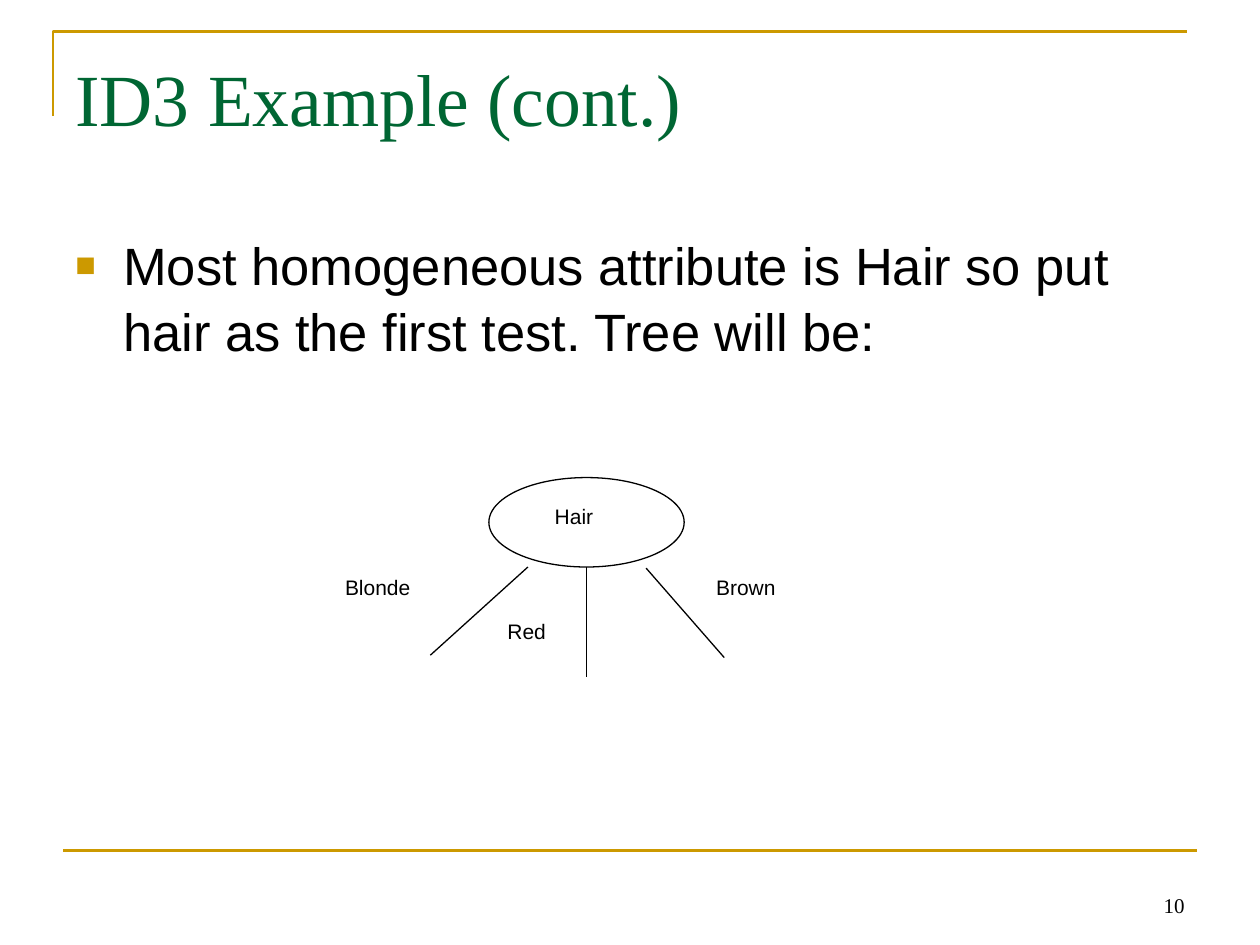
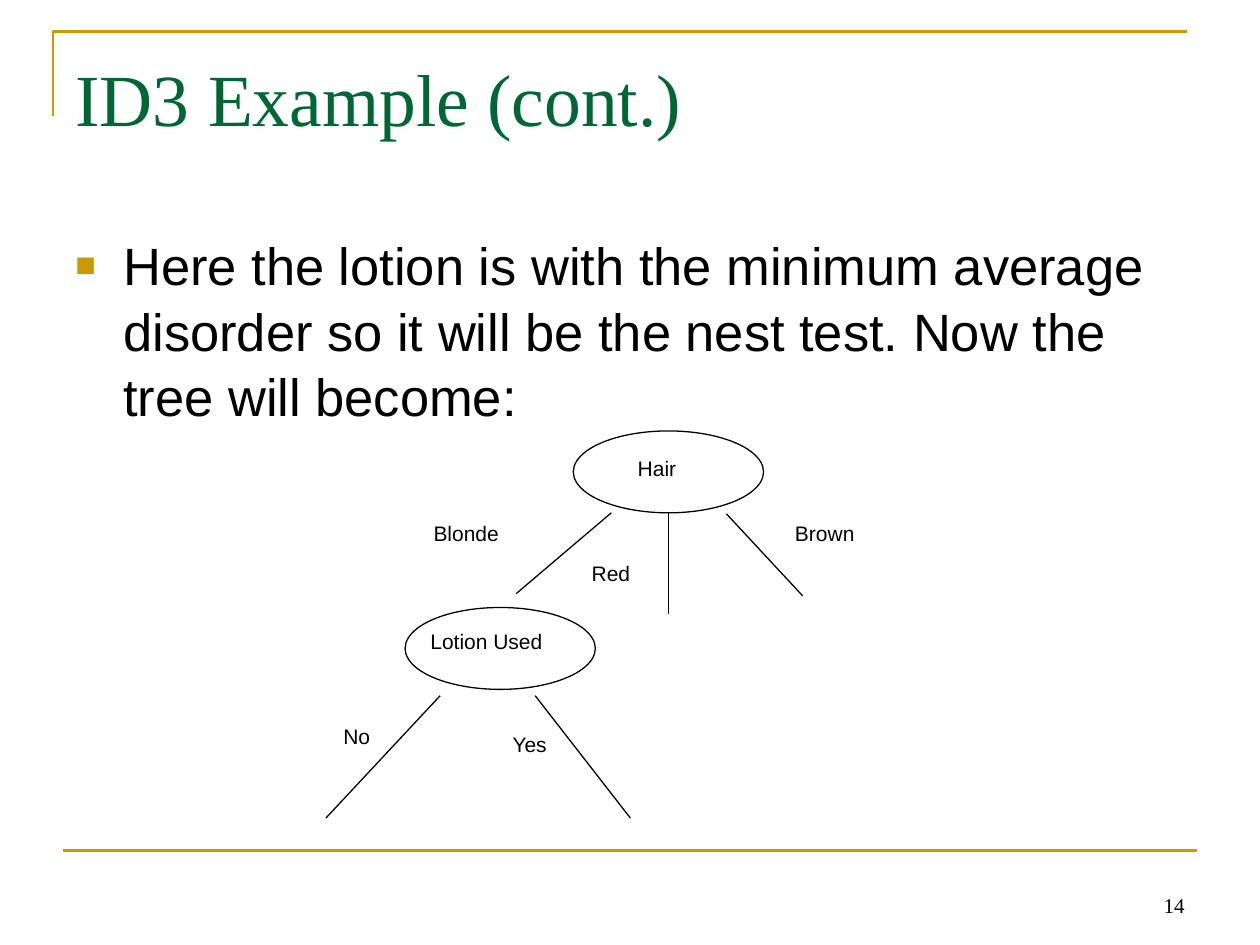
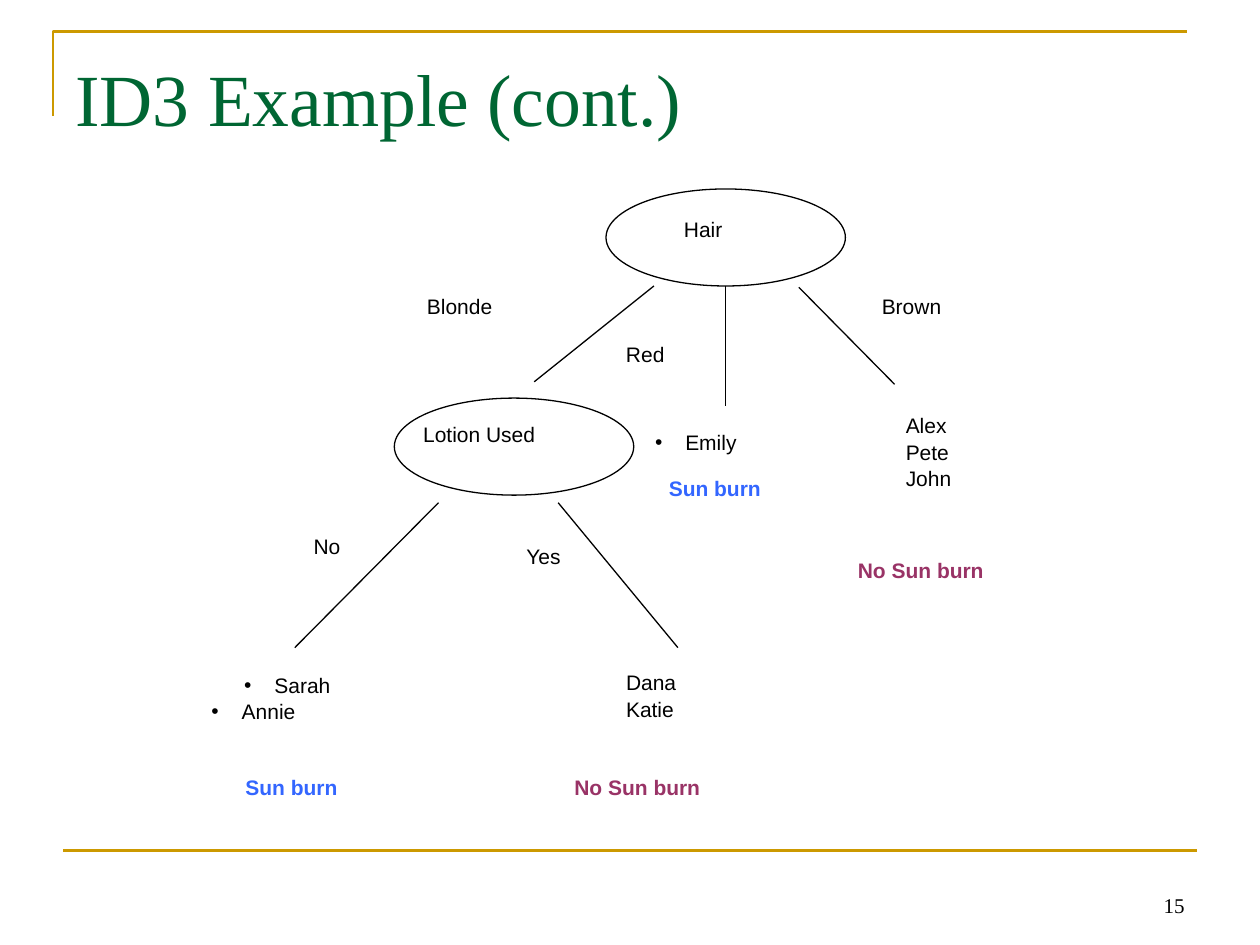
from dataclasses import dataclass

from pptx import Presentation
from pptx.dml.color import RGBColor
from pptx.enum.shapes import MSO_CONNECTOR as CXN, MSO_SHAPE as SHAPE
from pptx.enum.text import MSO_ANCHOR as ANCHOR, PP_ALIGN as ALIGN
from pptx.oxml.ns import qn
from pptx.util import Inches, Pt

GOLD = RGBColor(0xCC, 0x99, 0x00)
GREEN = RGBColor(0x00, 0x66, 0x33)
BLACK = RGBColor(0x00, 0x00, 0x00)
WHITE = RGBColor(0xFF, 0xFF, 0xFF)
BLUE = RGBColor(0x33, 0x66, 0xFF)
PLUM = RGBColor(0x99, 0x33, 0x66)
SANS = "Arial"
SERIF = "Times New Roman"
LINE_SPACING = 1.04

NODE_W, NODE_H = 1.9, 0.77

HAIR_LABELS = [
    ("Hair", 0.52, 0.16, 0.95, 0.38),
    ("Blonde", -1.52, 0.77, 1.14, 0.38),
    ("Brown", 2.09, 0.77, 1.14, 0.38),
    ("Red", 0.06, 1.15, 0.76, 0.38),
]
HAIR_BRANCHES = [
    (0.95, 0.77, 0.95, 1.72),
    (0.38, 0.77, -0.57, 1.53),
    (1.53, 0.78, 2.29, 1.55),
]
LOTION_NODE = (-1.68, 1.66)
LOTION_LABELS = [
    ("Lotion Used", -1.55, 1.79, 1.71, 0.57),
    ("Yes", -0.73, 2.76, 0.76, 0.38),
    ("No", -2.42, 2.68, 0.7, 0.38),
]
LOTION_BRANCHES = [
    (-1.33, 2.49, -2.47, 3.64),
    (-0.38, 2.49, 0.57, 3.64),
]


@dataclass
class Frame:
    left: float
    top: float
    node_w: float = NODE_W
    node_h: float = NODE_H

    def size(self, w, h):
        return w * self.node_w / NODE_W, h * self.node_h / NODE_H

    def point(self, x, y):
        dx, dy = self.size(x, y)
        return self.left + dx, self.top + dy


def add_line(slide, x1, y1, x2, y2, color=BLACK, width=0.75):
    line = slide.shapes.add_connector(
        CXN.STRAIGHT, Inches(x1), Inches(y1), Inches(x2), Inches(y2))
    line.line.color.rgb = color
    line.line.width = Pt(width)
    sp_pr = line._element.spPr
    sp_pr.append(sp_pr.makeelement(qn("a:effectLst"), {}))


def add_box(slide, x, y, w, h, anchor=ANCHOR.TOP, top_inset=0.05):
    box = slide.shapes.add_textbox(Inches(x), Inches(y), Inches(w), Inches(h))
    tf = box.text_frame
    tf.word_wrap = True
    tf.vertical_anchor = anchor
    tf.margin_top = Inches(top_inset)
    return tf


def add_run(p, text, size=12, font=SANS, color=BLACK, bold=False):
    r = p.add_run()
    r.text = text
    r.font.size = Pt(size)
    r.font.name = font
    r.font.bold = bold
    r.font.color.rgb = color


def set_bullet(p, char, margin, hanging, color=None, percent=None):
    p_pr = p._p.get_or_add_pPr()
    p_pr.set("marL", str(Inches(margin)))
    p_pr.set("indent", str(-Inches(hanging)))

    def add(parent, tag, **attrs):
        child = parent.makeelement(qn(tag), attrs)
        parent.append(child)
        return child

    if color is not None:
        add(add(p_pr, "a:buClr"), "a:srgbClr", val=str(color))
    if percent is not None:
        add(p_pr, "a:buSzPct", val=str(percent * 1000))
    add(p_pr, "a:buFont", typeface=SANS)
    add(p_pr, "a:buChar", char=char)


def add_label(slide, lines, x, y, w, h, color=BLACK, bold=False, margins=()):
    tf = add_box(slide, x, y, w, h)
    for i, text in enumerate(lines):
        p = tf.add_paragraph() if i else tf.paragraphs[0]
        if margins:
            set_bullet(p, "•", margins[i], 0.24)
        p.line_spacing = LINE_SPACING
        add_run(p, text, color=color, bold=bold)


def add_base(prs, number):
    slide = prs.slides.add_slide(prs.slide_layouts[6])
    fb = slide.shapes.build_freeform(Inches(0.42), Inches(0.92))
    fb.add_line_segments(
        [(Inches(0.42), Inches(0.25)), (Inches(9.42), Inches(0.25))], close=False)
    corner = fb.convert_to_shape()
    corner.shadow.inherit = False
    corner.fill.background()
    corner.line.color.rgb = GOLD
    corner.line.width = Pt(1.5)
    add_line(slide, 0.5, 6.75, 9.5, 6.75, GOLD, 1.5)

    p = add_box(slide, 7.17, 6.83, 2.33, 0.5, ANCHOR.BOTTOM).paragraphs[0]
    p.alignment = ALIGN.RIGHT
    add_run(p, str(number), font=SERIF)

    p = add_box(slide, 0.5, 0.3, 9, 1.25, top_inset=0.12).paragraphs[0]
    add_run(p, "ID3 Example (cont.)", 42, SERIF, GREEN)
    return slide


def add_body(slide, text):
    p = add_box(slide, 0.5, 1.75, 9, 4.95, top_inset=0.08).paragraphs[0]
    set_bullet(p, "■", 0.38, 0.38, GOLD, 65)
    p.line_spacing = LINE_SPACING
    add_run(p, text, 30)


def add_subtree(slide, frame, node, labels, branches):
    x, y = frame.point(*node)
    sp = slide.shapes.add_shape(
        SHAPE.OVAL, Inches(x), Inches(y), Inches(frame.node_w), Inches(frame.node_h))
    sp.shadow.inherit = False
    sp.fill.solid()
    sp.fill.fore_color.rgb = WHITE
    sp.line.color.rgb = BLACK
    sp.line.width = Pt(0.75)
    for text, x, y, w, h in labels:
        add_label(slide, [text], *frame.point(x, y), *frame.size(w, h))
    for x1, y1, x2, y2 in branches:
        add_line(slide, *frame.point(x1, y1), *frame.point(x2, y2))


def add_hair(slide, frame):
    add_subtree(slide, frame, (0, 0), HAIR_LABELS, HAIR_BRANCHES)


def add_lotion(slide, frame):
    add_subtree(slide, frame, LOTION_NODE, LOTION_LABELS, LOTION_BRANCHES)


def add_leaves(slide):
    add_label(slide, ["Emily"], 4.84, 3.35, 1.71, 0.51, margins=[0.5])
    add_label(slide, ["Sarah", "Annie"], 1.58, 5.28, 1.71, 0.77, margins=[0.5, 0.24])
    add_label(slide, ["Dana", "Katie"], 4.87, 5.26, 0.95, 0.77)
    add_label(slide, ["Alex", "Pete", "John"], 7.09, 3.22, 0.95, 1.15)
    for text, x, y, w, color in [
        ("Sun burn", 1.85, 6.09, 1.33, BLUE),
        ("Sun burn", 5.21, 3.72, 1.33, BLUE),
        ("No Sun burn", 4.46, 6.09, 1.71, PLUM),
        ("No Sun burn", 6.71, 4.37, 1.71, PLUM),
    ]:
        add_label(slide, [text], x, y, w, 0.57, color, True)


def main():
    prs = Presentation()
    prs.slide_width = Inches(10)
    prs.slide_height = Inches(7.5)

    slide = add_base(prs, 10)
    add_body(slide, "Most homogeneous attribute is Hair so put hair as the first "
                    "test. Tree will be:")
    add_hair(slide, Frame(3.88, 3.79, 1.55, 0.71))

    slide = add_base(prs, 14)
    add_body(slide, "Here the lotion is with the minimum average disorder so it "
                    "will be the nest test. Now the tree will become:")
    frame = Frame(4.55, 3.42, 1.51, 0.65)
    add_hair(slide, frame)
    add_lotion(slide, frame)

    slide = add_base(prs, 15)
    frame = Frame(4.81, 1.5)
    add_hair(slide, frame)
    add_lotion(slide, frame)
    add_leaves(slide)

    prs.save("out.pptx")


if __name__ == "__main__":
    main()
